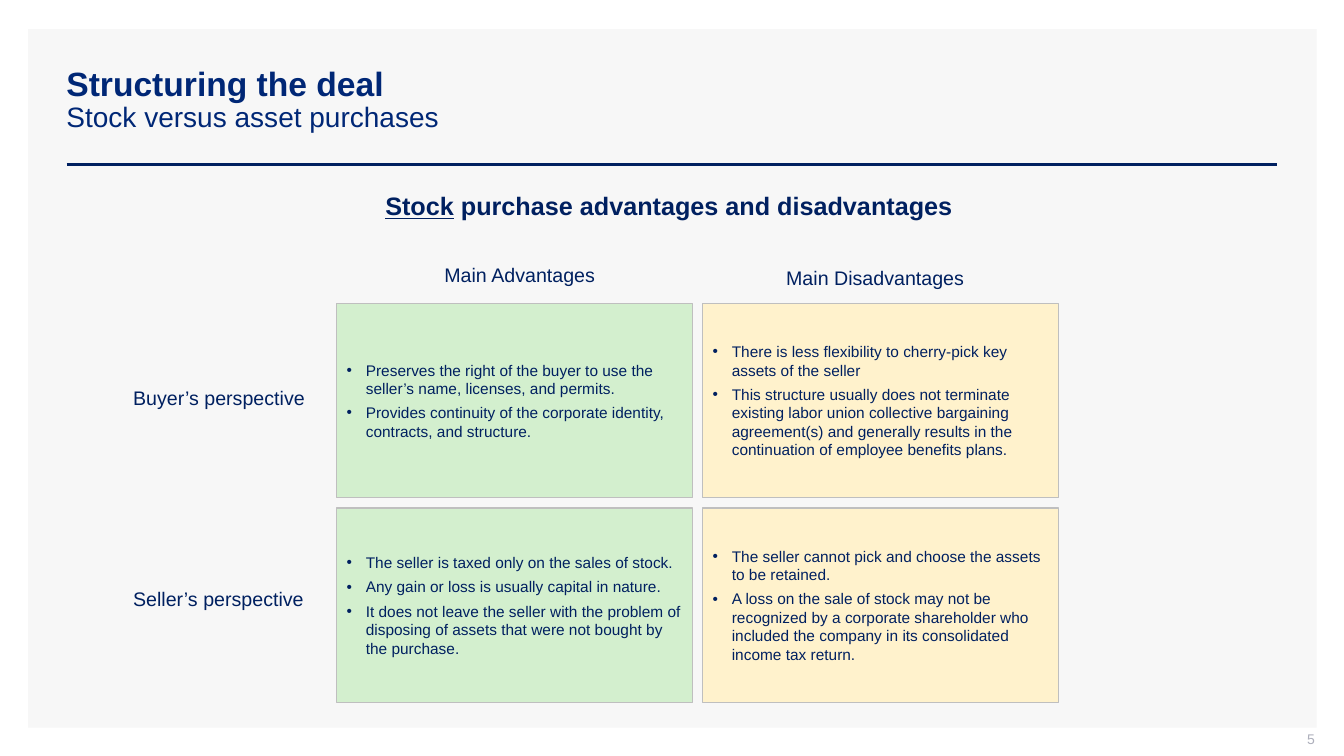
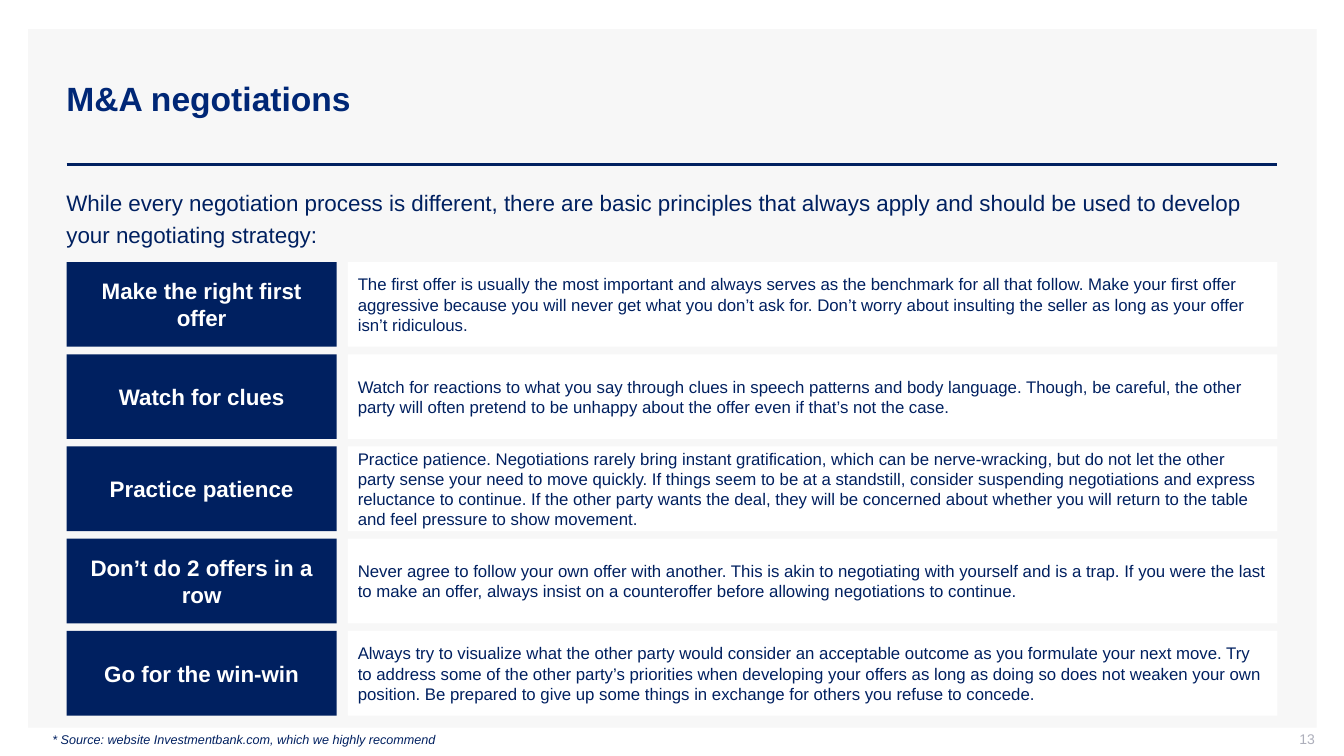
from lxml.etree import SubElement
from pptx import Presentation
from pptx.dml.color import RGBColor
from pptx.enum.shapes import MSO_CONNECTOR, MSO_SHAPE
from pptx.enum.text import MSO_ANCHOR, PP_ALIGN
from pptx.oxml.ns import qn
from pptx.util import Inches, Pt

NAVY = RGBColor(0x00, 0x20, 0x60)
TITLE_BLUE = RGBColor(0x00, 0x27, 0x76)
WHITE = RGBColor(0xFF, 0xFF, 0xFF)
PANEL_GREY = RGBColor(0xF7, 0xF7, 0xF7)
BORDER_GREY = RGBColor(0xBF, 0xBF, 0xBF)
NUMBER_GREY = RGBColor(0xAD, 0xAF, 0xBB)
GREEN = RGBColor(0xD3, 0xEF, 0xCE)
YELLOW = RGBColor(0xFF, 0xF2, 0xCC)

FONT = "Arial"
LEFT, RIGHT = 0.66, 12.67
INSETS = (0.1, 0.05, 0.1, 0.05)

TITLE = {"size": Pt(24), "bold": True, "color": TITLE_BLUE}
SUBTITLE = {"size": Pt(20), "color": TITLE_BLUE}
PAGE_NUMBER = {"size": Pt(10), "color": NUMBER_GREY}
HEADING = {"size": Pt(18), "bold": True}
LABEL = {"size": Pt(14)}
POINT = {"size": Pt(11)}
INTRO = {"size": Pt(16)}
PRINCIPLE = {"size": Pt(16), "bold": True, "color": WHITE}
ADVICE = {"size": Pt(12)}
SOURCE = {"size": Pt(9), "italic": True}

CENTERED = {"alignment": PP_ALIGN.CENTER}
RIGHT_ALIGNED = {"alignment": PP_ALIGN.RIGHT}

MATRIX = [
    ("Buyer’s perspective", 3.73, [
        ["Preserves the right of the buyer to use the seller’s name, licenses, "
         "and permits.",
         "Provides continuity of the corporate identity, contracts, and structure."],
        ["There is less flexibility to cherry-pick key assets of the seller",
         "This structure usually does not terminate existing labor union "
         "collective bargaining agreement(s) and generally results in the "
         "continuation of employee benefits plans."],
    ]),
    ("Seller’s perspective", 5.72, [
        ["The seller is taxed only on the sales of stock.",
         "Any gain or loss is usually capital in nature.",
         "It does not leave the seller with the problem of disposing of assets "
         "that were not bought by the purchase."],
        ["The seller cannot pick and choose the assets to be retained.",
         "A loss on the sale of stock may not be recognized by a corporate "
         "shareholder who included the company in its consolidated income tax "
         "return."],
    ]),
]

PRINCIPLES = [
    ("Make the right first offer",
     "The first offer is usually the most important and always serves as the "
     "benchmark for all that follow. Make your first offer aggressive because "
     "you will never get what you don’t ask for. Don’t worry about insulting "
     "the seller as long as your offer isn’t ridiculous."),
    ("Watch for clues",
     "Watch for reactions to what you say through clues in speech patterns and "
     "body language. Though, be careful, the other party will often pretend to "
     "be unhappy about the offer even if that’s not the case."),
    ("Practice patience",
     "Practice patience. Negotiations rarely bring instant gratification, which "
     "can be nerve-wracking, but do not let the other party sense your need to "
     "move quickly. If things seem to be at a standstill, consider suspending "
     "negotiations and express reluctance to continue. If the other party wants "
     "the deal, they will be concerned about whether you will return to the "
     "table and feel pressure to show movement."),
    ("Don’t do 2 offers in a row",
     "Never agree to follow your own offer with another. This is akin to "
     "negotiating with yourself and is a trap. If you were the last to make an "
     "offer, always insist on a counteroffer before allowing negotiations to "
     "continue."),
    ("Go for the win-win",
     "Always try to visualize what the other party would consider an acceptable "
     "outcome as you formulate your next move. Try to address some of the other "
     "party’s priorities when developing your offers as long as doing so does "
     "not weaken your own position. Be prepared to give up some things in "
     "exchange for others you refuse to concede."),
]


def set_all(target, values):
    for name, value in values.items():
        setattr(target, name, value)


def add_run(paragraph, text, style):
    run = paragraph.add_run()
    run.text = text
    values = {"name": FONT, "color": NAVY, **style}
    run.font.color.rgb = values.pop("color")
    set_all(run.font, values)


def set_frame(frame, anchor=MSO_ANCHOR.TOP, insets=INSETS, wrap=True):
    sides = ("margin_left", "margin_top", "margin_right", "margin_bottom")
    set_all(frame, dict(zip(sides, map(Inches, insets))))
    set_all(frame, {"vertical_anchor": anchor, "word_wrap": wrap})


def add_text(slide, box, runs, layout=None, **frame_options):
    """Add a one-paragraph text box; runs are (text, style) pairs."""
    frame = slide.shapes.add_textbox(*map(Inches, box)).text_frame
    set_frame(frame, **frame_options)
    paragraph = frame.paragraphs[0]
    set_all(paragraph, layout or {})
    for text, style in runs:
        add_run(paragraph, text, style)
    return paragraph


def add_box(slide, box, fill, border=None):
    rect = slide.shapes.add_shape(MSO_SHAPE.RECTANGLE, *map(Inches, box))
    rect.shadow.inherit = False
    rect.fill.solid()
    rect.fill.fore_color.rgb = fill
    if border is None:
        rect.line.fill.background()
    else:
        rect.line.color.rgb = border
        rect.line.width = Pt(0.75)
    set_frame(rect.text_frame, MSO_ANCHOR.MIDDLE)
    return rect.text_frame


def add_filled_text(slide, box, fill, text, style, alignment):
    paragraph = add_box(slide, box, fill).paragraphs[0]
    paragraph.alignment = alignment
    add_run(paragraph, text, style)


def add_bullet(paragraph):
    properties = paragraph._p.get_or_add_pPr()
    indent = Inches(0.19)
    properties.set("marL", str(indent))
    properties.set("indent", str(-indent))
    color = SubElement(properties, qn("a:buClr"))
    SubElement(color, qn("a:srgbClr"), val=str(NAVY))
    SubElement(properties, qn("a:buFont"), typeface=FONT)
    SubElement(properties, qn("a:buChar"), char="•")


def add_bullet_box(slide, box, fill, points):
    frame = add_box(slide, box, fill, BORDER_GREY)
    for index, point in enumerate(points):
        paragraph = frame.add_paragraph() if index else frame.paragraphs[0]
        add_bullet(paragraph)
        spacing = {"alignment": PP_ALIGN.LEFT, "space_after": Pt(2)}
        if index:
            spacing["space_before"] = Pt(2)
        set_all(paragraph, spacing)
        add_run(paragraph, point, POINT)


def add_rule(slide, y):
    rule = slide.shapes.add_connector(
        MSO_CONNECTOR.STRAIGHT, *map(Inches, (LEFT, y, RIGHT, y)))
    rule.line.color.rgb = NAVY
    rule.line.width = Pt(2)
    SubElement(rule._element.spPr, qn("a:effectLst"))


def add_base_slide(deck, title, number, subtitle=None):
    """Add a slide with the shared panel, title, rule and page number."""
    slide = deck.slides.add_slide(deck.slide_layouts[6])
    add_box(slide, (0.28, 0.29, 12.78, 6.93), PANEL_GREY)
    add_rule(slide, 1.63)
    heading = add_text(slide, (0.56, 0.4, 12.11, 1.19), [(title, TITLE)],
                       {"line_spacing": 0.9}, anchor=MSO_ANCHOR.MIDDLE)
    if subtitle:
        heading.add_line_break()
        add_run(heading, subtitle, SUBTITLE)
    add_text(slide, (10.04, 7.25, 3, 0.21), [(number, PAGE_NUMBER)],
             RIGHT_ALIGNED, anchor=MSO_ANCHOR.MIDDLE, insets=(0.1, 0, 0, 0.05))
    return slide


def build_structuring_slide(deck):
    slide = add_base_slide(deck, "Structuring the deal", "5",
                           "Stock versus asset purchases")
    add_text(slide, (3.57, 1.84, 6.13, 0.4),
             [("Stock", {**HEADING, "underline": True}),
              (" purchase advantages and disadvantages", HEADING)], CENTERED)
    for text, box in (("Main Advantages", (4.3, 2.56, 1.71, 0.34)),
                      ("Main Disadvantages", (7.69, 2.59, 1.98, 0.34))):
        add_text(slide, box, [(text, LABEL)], CENTERED, wrap=False)

    cell_width, cell_height, gap = 3.53, 1.93, 0.1
    for row, (perspective, label_top, cells) in enumerate(MATRIX):
        add_text(slide, (1.12, label_top, 2.11, 0.43), [(perspective, LABEL)],
                 insets=(0.2, 0.1, 0.2, 0.1), wrap=False)
        top = 3.01 + row * (cell_height + gap)
        for column, (fill, points) in enumerate(zip((GREEN, YELLOW), cells)):
            left = 3.34 + column * (cell_width + gap)
            add_bullet_box(slide, (left, top, cell_width, cell_height),
                           fill, points)


def build_negotiations_slide(deck):
    slide = add_base_slide(deck, "M&A negotiations", "13")
    add_text(slide, (0.56, 1.77, 12.12, 0.8),
             [("While every negotiation process is different, there are basic "
               "principles that always apply and should be used to develop your "
               "negotiating strategy:", INTRO)], {"line_spacing": 1.2})

    advice_left, row_height, pitch = 3.45, 0.84, 0.915
    for row, (principle, advice) in enumerate(PRINCIPLES):
        top = 2.6 + row * pitch
        add_filled_text(slide, (LEFT, top, 2.68, row_height), NAVY,
                        principle, PRINCIPLE, PP_ALIGN.CENTER)
        add_filled_text(slide, (advice_left, top, RIGHT - advice_left, row_height),
                        WHITE, advice, ADVICE, PP_ALIGN.LEFT)

    add_text(slide, (0.42, 7.21, 7.68, 0.25),
             [("* Source: website Investmentbank.com, which we highly recommend",
               SOURCE)])


def main():
    deck = Presentation()
    deck.slide_width, deck.slide_height = Inches(13.33), Inches(7.5)
    build_structuring_slide(deck)
    build_negotiations_slide(deck)
    deck.save("out.pptx")


if __name__ == "__main__":
    main()
